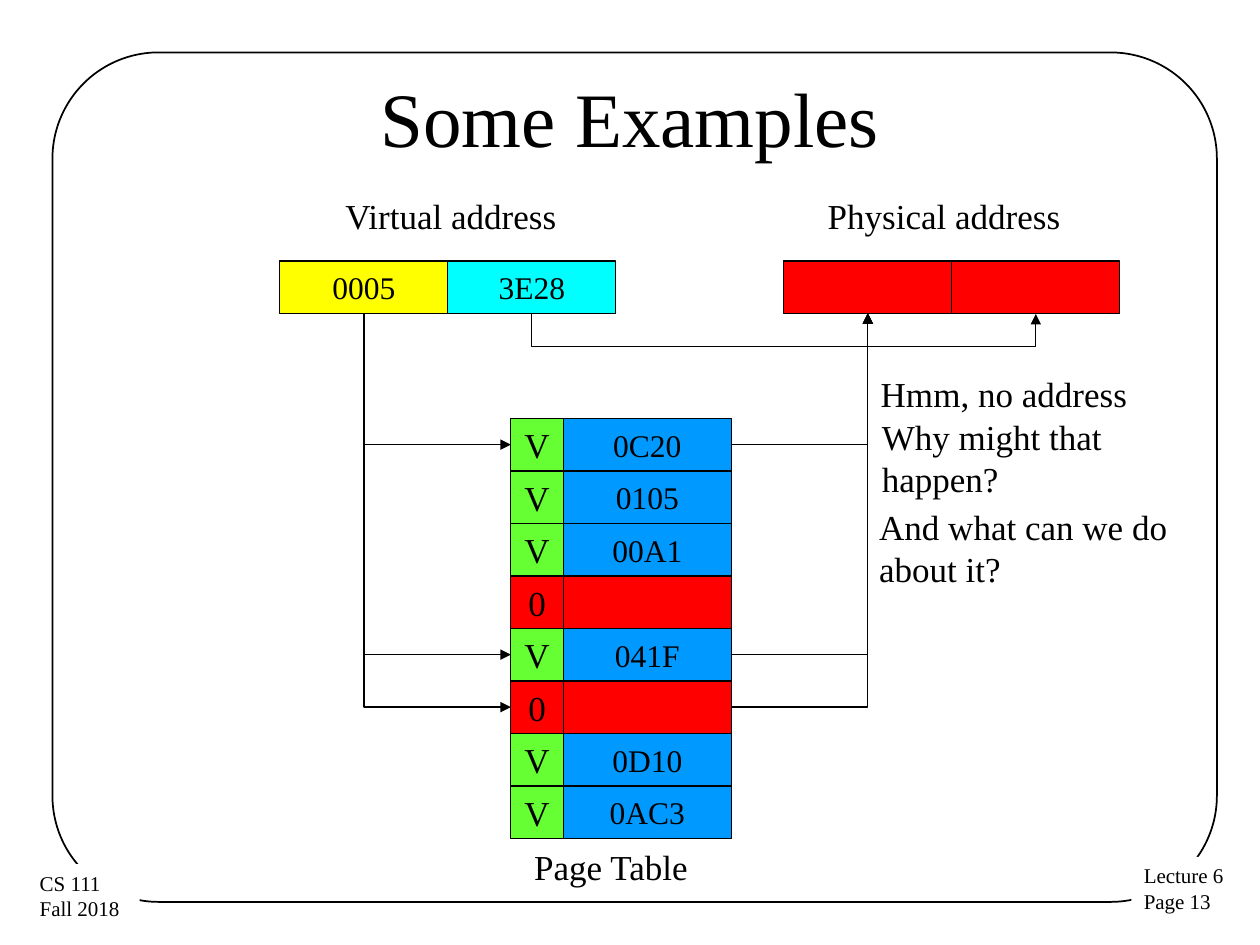
from dataclasses import dataclass

from lxml.etree import SubElement
from pptx import Presentation
from pptx.dml.color import RGBColor
from pptx.enum.shapes import MSO_CONNECTOR as Connector, MSO_SHAPE as Shape
from pptx.enum.text import MSO_ANCHOR as Anchor, MSO_AUTO_SIZE as AutoSize, PP_ALIGN as Align
from pptx.oxml.ns import qn
from pptx.util import Pt

PX = 3810


@dataclass(frozen=True)
class Theme:
    font: str = "Times New Roman"
    ink: str = "000000"
    paper: str = "FFFFFF"
    page: str = "FFFF00"
    offset: str = "00FFFF"
    valid: str = "66FF33"
    frame: str = "0099FF"
    fault: str = "FF0000"
    title_size: int = 44
    label_size: int = 20
    value_size: int = 18
    footer_size: int = 12
    thin: float = 0.75
    border: float = 1


THEME = Theme()


def emu(*lengths):
    return [round(length * PX) for length in lengths]


def color(value):
    return RGBColor.from_string(value)


def write(frame, text, size=THEME.label_size, align=Align.LEFT, anchor=Anchor.TOP,
          wrap=False, grow=False):
    frame.word_wrap = wrap
    frame.auto_size = AutoSize.SHAPE_TO_FIT_TEXT if grow else AutoSize.NONE
    frame.vertical_anchor = anchor
    frame.text = text
    for paragraph in frame.paragraphs:
        paragraph.alignment = align
        paragraph.font.size = Pt(size)
        paragraph.font.name = THEME.font
        paragraph.font.color.rgb = color(THEME.ink)


def add_label(slide, box, text, **text_format):
    label = slide.shapes.add_textbox(*emu(*box))
    write(label.text_frame, text, grow=True, **text_format)
    return label


def add_box(slide, box, fill=None, kind=Shape.RECTANGLE, width=THEME.thin):
    shape = slide.shapes.add_shape(kind, *emu(*box))
    shape.shadow.inherit = False
    shape.line.color.rgb = color(THEME.ink)
    shape.line.width = Pt(width)
    if fill:
        shape.fill.solid()
        shape.fill.fore_color.rgb = color(fill)
    else:
        shape.fill.background()
    return shape


def add_cell(slide, box, fill, text, size=THEME.value_size):
    cell = add_box(slide, box, fill)
    if text:
        write(cell.text_frame, text, size=size, align=Align.CENTER, anchor=Anchor.MIDDLE)


def add_arrow(slide, start, end, preset="bentConnector2"):
    arrow = slide.shapes.add_connector(Connector.ELBOW, *emu(*start, *end))
    arrow.line.color.rgb = color(THEME.ink)
    arrow.line.width = Pt(THEME.thin)
    properties = arrow._element.spPr
    properties.find(qn("a:prstGeom")).set("prst", preset)
    SubElement(properties.find(qn("a:ln")), qn("a:tailEnd"), type="triangle")
    SubElement(properties, qn("a:effectLst"))
    return properties


def add_downward_arrow(slide, start, end, preset="bentConnector2"):
    (left, top), (right, bottom) = start, end
    middle_x, middle_y = (left + right) / 2, (top + bottom) / 2
    half_run, half_drop = (right - left) / 2, (bottom - top) / 2
    properties = add_arrow(slide, (middle_x + half_drop, middle_y - half_run),
                           (middle_x - half_drop, middle_y + half_run), preset)
    properties.find(qn("a:xfrm")).set("rot", "16200000")
    return properties


def add_loop_arrow(slide, start, end, depth):
    properties = add_downward_arrow(slide, start, (end[0], end[1] + 1), "bentConnector3")
    geometry = properties.find(qn("a:prstGeom"))
    for old in geometry.findall(qn("a:avLst")):
        geometry.remove(old)
    adjustments = SubElement(geometry, qn("a:avLst"))
    SubElement(adjustments, qn("a:gd"), name="adj1", fmla=f"val {depth * 100000}")


def add_page_frame(slide, box):
    left, top, width, height = box
    border = add_box(slide, box, kind=Shape.ROUNDED_RECTANGLE, width=THEME.border)
    border.adjustments[0] = 0.125
    footers = (
        ((left + 2055, top + 1532, 204, 122), "Lecture 6\nPage 13"),
        ((left - 48, top + 1546, 214, 122), "CS 111\nFall 2018"),
    )
    for place, text in footers:
        footer = add_label(slide, place, text, size=THEME.footer_size)
        footer.fill.solid()
        footer.fill.fore_color.rgb = color(THEME.paper)
    title = slide.shapes.title
    title.left, title.top, title.width, title.height = emu(left + 20, top - 28, 2160, 300)
    write(title.text_frame, "Some Examples", size=THEME.title_size,
          align=Align.CENTER, anchor=Anchor.MIDDLE, wrap=True)


def add_address(slide, box, caption, caption_box, parts):
    left, top, width, height = box
    x, y, caption_width, caption_height = caption_box
    add_label(slide, (left + x, top + y, caption_width, caption_height), caption)
    part_width = width / len(parts)
    centers = []
    for index, (text, fill) in enumerate(parts):
        part_left = left + index * part_width
        add_cell(slide, (part_left, top, part_width, height), fill, text)
        centers.append((part_left + part_width / 2, top + height))
    return centers


def add_page_table(slide, box, entries):
    left, top, width, height = box
    row_height = height / len(entries)
    flag_width = 100
    ports = []
    for index, entry in enumerate(entries):
        y = top + index * row_height
        flag_fill, frame_fill = (THEME.valid, THEME.frame) if entry else (THEME.fault,) * 2
        add_cell(slide, (left, y, flag_width, row_height), flag_fill,
                 "V" if entry else "0", size=THEME.label_size)
        add_cell(slide, (left + flag_width, y, width - flag_width, row_height),
                 frame_fill, entry)
        middle = y + row_height / 2
        ports.append(((left, middle), (left + width, middle)))
    add_label(slide, (left + 21, top + height + 1, 346, 106), "Page Table")
    return ports


def add_questions(slide, box):
    left, top, width, height = box
    add_label(slide, (left + 3, top, 521, 106), "Hmm, no address")
    add_label(slide, (left + 5, top + 82, width, 185), "Why might that happen?", wrap=True)
    add_label(slide, (left, top + 253, width, 185), "And what can we do about it?", wrap=True)


def add_lookups(slide, virtual, physical, ports):
    add_loop_arrow(slide, virtual[1], physical[1], 60)
    for row in (0, 4, 5):
        entrance, departure = ports[row]
        add_downward_arrow(slide, virtual[0], entrance)
        add_arrow(slide, departure, physical[0])


def main():
    presentation = Presentation()
    presentation.slide_width, presentation.slide_height = emu(2400, 1800)
    slide = presentation.slides.add_slide(presentation.slide_layouts[5])
    add_page_frame(slide, (100, 100, 2218, 1618))
    virtual = add_address(slide, (533, 497, 640, 100), "Virtual address",
                          (101, -139, 458, 106),
                          (("0005", THEME.page), ("3E28", THEME.offset)))
    physical = add_address(slide, (1493, 497, 640, 100), "Physical address",
                           (60, -139, 494, 106), (("", THEME.fault),) * 2)
    ports = add_page_table(slide, (973, 797, 420, 800),
                           ("0C20", "0105", "00A1", "", "041F", "", "0D10", "0AC3"))
    add_lookups(slide, virtual, physical, ports)
    add_questions(slide, (1651, 698, 624, 438))
    presentation.save("out.pptx")


if __name__ == "__main__":
    main()
